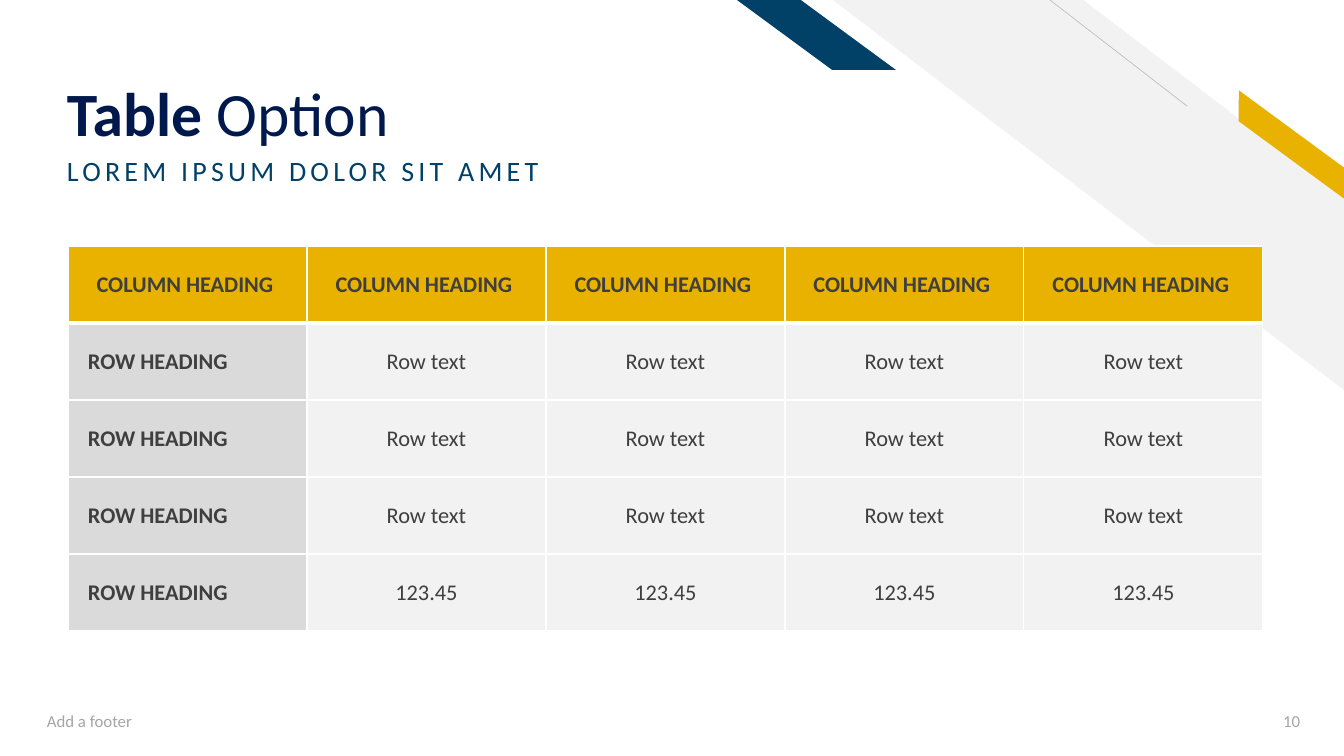
from lxml import etree
from pptx import Presentation
from pptx.dml.color import RGBColor
from pptx.enum.shapes import MSO_CONNECTOR, MSO_SHAPE
from pptx.enum.text import MSO_ANCHOR, PP_ALIGN
from pptx.oxml.ns import qn
from pptx.util import Pt

PX = 914400 / 100.8
STRAIGHT = MSO_CONNECTOR.STRAIGHT
DIAGONAL_STRIPE = MSO_SHAPE.DIAGONAL_STRIPE
PARALLELOGRAM = MSO_SHAPE.PARALLELOGRAM
TOP, MIDDLE, BOTTOM = MSO_ANCHOR.TOP, MSO_ANCHOR.MIDDLE, MSO_ANCHOR.BOTTOM
LEFT, CENTER, RIGHT = PP_ALIGN.LEFT, PP_ALIGN.CENTER, PP_ALIGN.RIGHT

WHITE = RGBColor(0xFF, 0xFF, 0xFF)
PALE = RGBColor(0xF2, 0xF2, 0xF2)
SILVER = RGBColor(0xDA, 0xDA, 0xDA)
HAIRLINE = RGBColor(0xBF, 0xBF, 0xBF)
MUTED = RGBColor(0xA5, 0xA5, 0xA5)
CHARCOAL = RGBColor(0x3F, 0x3F, 0x3F)
GOLD = RGBColor(0xEA, 0xB2, 0x00)
BLUE = RGBColor(0x01, 0x40, 0x67)
NAVY = RGBColor(0x00, 0x19, 0x4C)


def px(length):
    return round(length * PX)


class SlideBuilder:
    font_name = "Calibri"

    def __init__(self, slide):
        self.slide = slide

    def stripe(self, kind, box, adjustment, color, rotation=0):
        shape = self.slide.shapes.add_shape(kind, *map(px, box))
        shape.adjustments[0] = adjustment
        shape.rotation = rotation
        shape._element.spPr.get_or_add_xfrm().set("flipH", "1")
        shape.shadow.inherit = False
        shape.fill.solid()
        shape.fill.fore_color.rgb = color
        shape.line.fill.background()

    def line(self, start, end, color, width):
        connector = self.slide.shapes.add_connector(STRAIGHT, *map(px, start + end))
        connector.line.color.rgb = color
        connector.line.width = Pt(width)
        etree.SubElement(connector._element.spPr, qn("a:effectLst"))

    def style(self, paragraph, size, color, align):
        paragraph.alignment = align
        paragraph.font.name = self.font_name
        paragraph.font.size = Pt(size)
        paragraph.font.color.rgb = color

    def text(self, box, runs, size, color, anchor=MIDDLE, align=LEFT,
             line_spacing=None, space_before=0, tracking=0):
        frame = self.slide.shapes.add_textbox(*map(px, box)).text_frame
        frame.word_wrap = True
        frame.vertical_anchor = anchor
        if anchor == BOTTOM:
            frame.margin_bottom = 0
        paragraph = frame.paragraphs[0]
        self.style(paragraph, size, color, align)
        paragraph.line_spacing = line_spacing
        paragraph.space_before = Pt(space_before)
        for content, bold in runs:
            run = paragraph.add_run()
            run.text = content
            run.font.bold = bold
            if tracking:
                run._r.get_or_add_rPr().set("spc", str(tracking * 100))

    def borders(self, cell, top, bottom):
        properties = cell._tc.get_or_add_tcPr()
        for position, (side, width) in enumerate(
                (("L", 1), ("R", 1), ("T", top), ("B", bottom))):
            border = etree.Element(qn(f"a:ln{side}"), w=str(Pt(width)))
            fill = etree.SubElement(border, qn("a:solidFill"))
            etree.SubElement(fill, qn("a:srgbClr"), val=str(WHITE))
            properties.insert(position, border)

    def table(self, left, top, column_width, row_height, rows):
        columns = len(rows[0])
        table = self.slide.shapes.add_table(
            len(rows), columns, px(left), px(top),
            px(column_width * columns), px(row_height * len(rows))).table
        table.first_row = False
        table.horz_banding = False
        for column in table.columns:
            column.width = px(column_width)
        for row_index, values in enumerate(rows):
            table.rows[row_index].height = px(row_height)
            for column_index, value in enumerate(values):
                is_header = row_index == 0
                is_row_heading = column_index == 0 and not is_header
                cell = table.cell(row_index, column_index)
                cell.text = value
                cell.vertical_anchor = MIDDLE
                cell.fill.solid()
                cell.fill.fore_color.rgb = (
                    GOLD if is_header else SILVER if is_row_heading else PALE)
                if is_row_heading:
                    cell.margin_left = px(20)
                paragraph = cell.text_frame.paragraphs[0]
                self.style(paragraph, 16, CHARCOAL, LEFT if is_row_heading else CENTER)
                paragraph.font.bold = is_header or is_row_heading
                self.borders(cell, 3 if row_index == 1 else 1, 3 if is_header else 1)


def main():
    presentation = Presentation()
    presentation.slide_width = px(1344)
    presentation.slide_height = px(756)
    slide = presentation.slides.add_slide(presentation.slide_layouts[6])
    builder = SlideBuilder(slide)

    builder.stripe(DIAGONAL_STRIPE, (833, 0, 511, 390), 0.51, PALE)
    builder.line((1187, 106), (1050, 0), HAIRLINE, 0.5)
    builder.stripe(PARALLELOGRAM, (1217, 132, 149, 25), 0.72, GOLD, 36.3)
    builder.stripe(PARALLELOGRAM, (737, 0, 159, 70), 1.36, BLUE)

    builder.text((57, 23, 918, 127), [("Table ", True), ("Option", False)],
                 44, NAVY, BOTTOM, line_spacing=0.9)
    builder.text((57, 152, 812, 68), [("LOREM IPSUM DOLOR SIT AMET", False)],
                 20, BLUE, TOP, line_spacing=0.9, space_before=10, tracking=3)

    rows = [["COLUMN HEADING "] * 5]
    rows += [["ROW HEADING"] + [value] * 4 for value in ["Row text"] * 3 + ["123.45"]]
    builder.table(68, 246, 239, 77, rows)

    builder.text((37, 701, 454, 40), [("Add a footer", False)], 12, MUTED)
    builder.text((1229, 701, 81, 40), [("10", False)], 12, MUTED, align=RIGHT)
    presentation.save("out.pptx")


if __name__ == "__main__":
    main()
